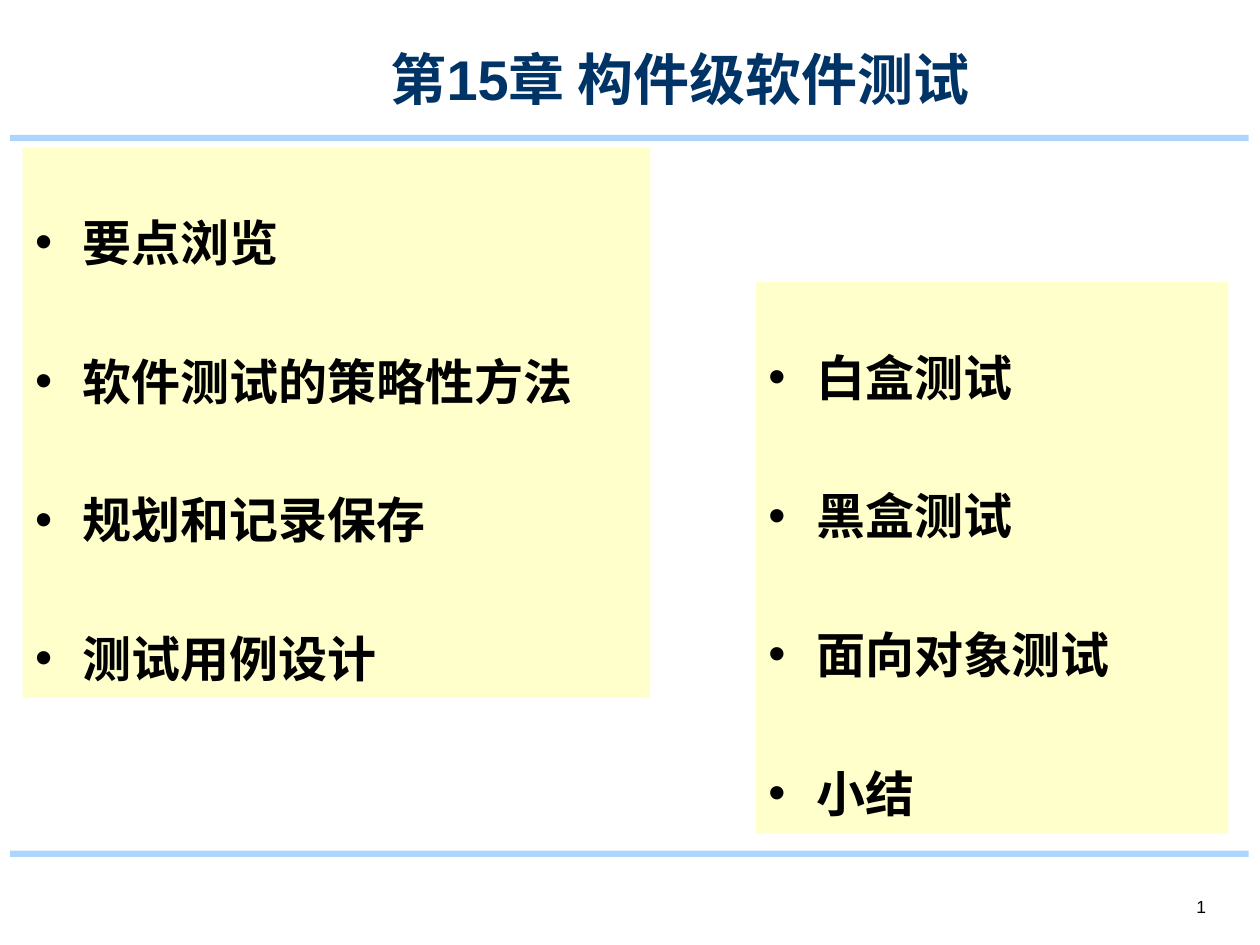
from lxml import etree
from pptx import Presentation
from pptx.dml.color import RGBColor
from pptx.enum.shapes import MSO_SHAPE as Preset
from pptx.enum.text import MSO_ANCHOR as Anchor, MSO_AUTO_SIZE as AutoSize, PP_ALIGN as Align
from pptx.oxml.ns import qn
from pptx.util import Inches, Pt

NAVY = RGBColor(0x00, 0x33, 0x66)
SKY = RGBColor(0xAD, 0xD6, 0xFF)
CREAM = RGBColor(0xFF, 0xFF, 0xCC)
BLACK = RGBColor(0, 0, 0)
LATIN, CJK = "Arial", "Noto Sans CJK SC"

TOPIC_FORMAT = {"line_spacing": 2.0, "space_before": Pt(6), "space_after": Pt(6),
                "alignment": Align.LEFT}
INDENT = Inches(0.38)

TITLE_BOX = (2.64, 0.25, 5.52, 0.69)
NUMBER_BOX = (8.25, 6.83, 1.42, 0.5)
RULE_BOXES = [(0.08, top, 9.83, 0.05) for top in (1.07, 6.75)]
TOPIC_PANELS = [
    ((0.18, 1.17, 4.98, 4.37),
     ["要点浏览", "软件测试的策略性方法", "规划和记录保存", "测试用例设计"]),
    ((6, 2.24, 3.75, 4.37),
     ["白盒测试", "黑盒测试", "面向对象测试", "小结"]),
]


def to_inches(box):
    return [Inches(length) for length in box]


def style_run(run, size, color, latin, bold=True):
    for key, value in {"size": Pt(size), "bold": bold, "name": latin}.items():
        setattr(run.font, key, value)
    run.font.color.rgb = color
    etree.SubElement(run.font._element, qn("a:ea"), typeface=CJK)


def add_block(slide, box, color):
    block = slide.shapes.add_shape(Preset.RECTANGLE, *to_inches(box))
    block.shadow.inherit = False
    block.fill.solid()
    block.fill.fore_color.rgb = color
    block.line.fill.background()
    return block


def place_title(slide, box, text):
    title = slide.shapes.title
    title.left, title.top, title.width, title.height = to_inches(box)
    frame = title.text_frame
    frame.vertical_anchor = Anchor.BOTTOM
    frame.auto_size = AutoSize.NONE
    heading = frame.paragraphs[0]
    heading.alignment = Align.CENTER
    run = heading.add_run()
    run.text = text
    style_run(run, 32, NAVY, LATIN)


def add_topics(slide, box, topics):
    frame = add_block(slide, box, CREAM).text_frame
    frame.word_wrap = True
    frame.vertical_anchor = Anchor.TOP
    frame.auto_size = AutoSize.SHAPE_TO_FIT_TEXT
    for index, topic in enumerate(topics):
        paragraph = frame.add_paragraph() if index else frame.paragraphs[0]
        for key, value in TOPIC_FORMAT.items():
            setattr(paragraph, key, value)
        properties = paragraph._p.get_or_add_pPr()
        properties.set("marL", str(INDENT))
        properties.set("indent", str(-INDENT))
        etree.SubElement(properties, qn("a:buFont"), typeface=LATIN)
        etree.SubElement(properties, qn("a:buChar"), char="•")
        run = paragraph.add_run()
        run.text = topic
        style_run(run, 28, BLACK, CJK)


def add_slide_number(slide, box):
    frame = slide.shapes.add_textbox(*to_inches(box)).text_frame
    frame.word_wrap = True
    frame.vertical_anchor = Anchor.BOTTOM
    paragraph = frame.paragraphs[0]
    paragraph.alignment = Align.RIGHT
    run = paragraph.add_run()
    run.text = "1"
    style_run(run, 10, BLACK, LATIN, bold=False)
    # A field holds the same children as a run, so the number stays automatic.
    run._r.tag = qn("a:fld")
    run._r.set("id", "{B6F15528-21DE-4FAA-801E-634DDDAF4B2B}")
    run._r.set("type", "slidenum")


def main():
    deck = Presentation()
    deck.slide_width, deck.slide_height = Inches(10), Inches(7.5)
    slide = deck.slides.add_slide(deck.slide_layouts[5])
    for box in RULE_BOXES:
        add_block(slide, box, SKY)
    add_slide_number(slide, NUMBER_BOX)
    place_title(slide, TITLE_BOX, "第15章 构件级软件测试")
    for box, topics in TOPIC_PANELS:
        add_topics(slide, box, topics)
    deck.save("out.pptx")


if __name__ == "__main__":
    main()
